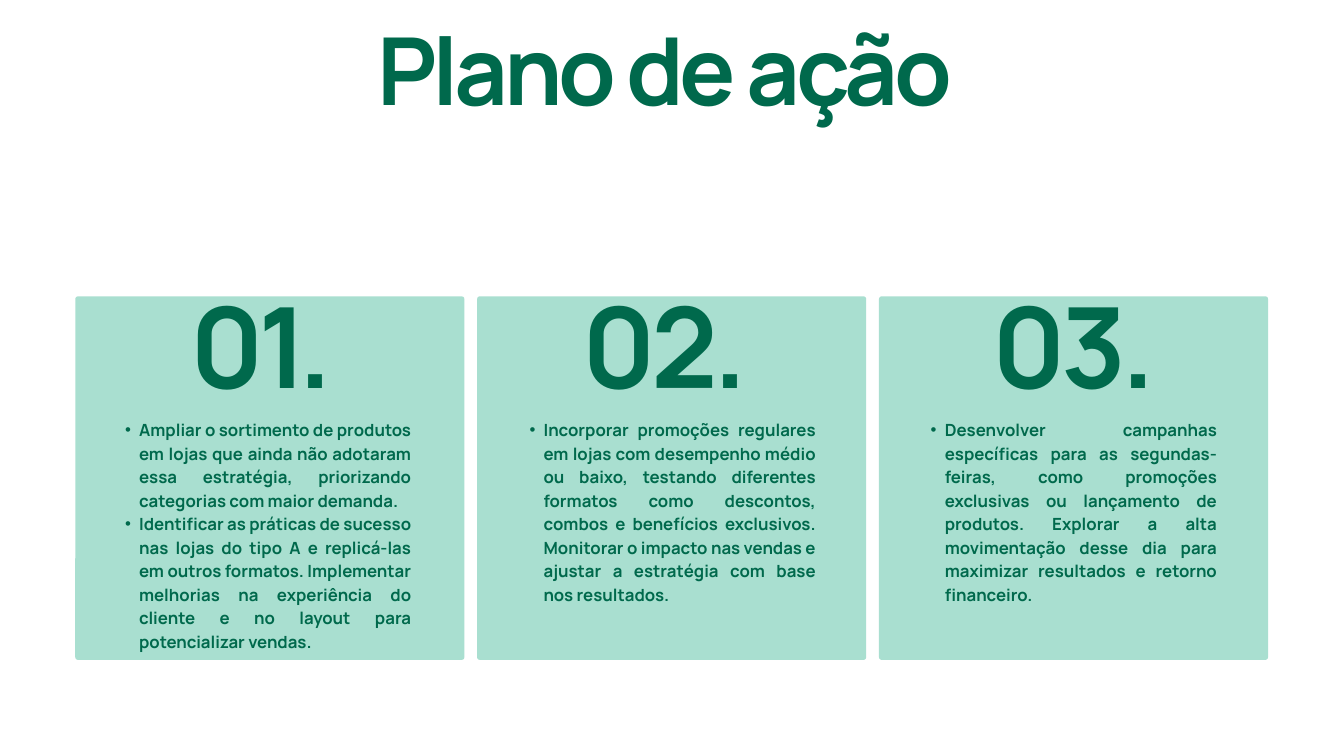
from dataclasses import dataclass

from lxml.etree import SubElement
from pptx import Presentation
from pptx.dml.color import RGBColor
from pptx.enum.shapes import MSO_SHAPE
from pptx.enum.text import PP_ALIGN
from pptx.oxml.ns import qn
from pptx.slide import Slide
from pptx.util import Inches, Pt

SLIDE_WIDTH, SLIDE_HEIGHT = 20, 11.25
FONT = "Manrope"
GREEN, MINT, WHITE = "00694C", "A9DFD0", "FFFFFF"

# Three equal columns, in inches
GRID_LEFT, CARD_TOP = 1.12, 4.41
CARD_WIDTH, CARD_HEIGHT, GAP = 5.79, 5.41, 0.19
CORNER_RADIUS = 0.04
NUMBER_TOP, LIST_TOP = 4.62, 6.2
NUMBER_WIDTH, LIST_WIDTH = 2.65, 4.48
BULLET_INDENT, BULLET_HANG = 0.43, 0.21


@dataclass(frozen=True)
class Card:
    number: str
    number_offset: float
    list_offset: float
    actions: tuple[str, ...]


CARDS = (
    Card("01.", 1.44, 0.52, (
        "Ampliar o sortimento de produtos em lojas que ainda não adotaram essa "
        "estratégia, priorizando categorias com maior demanda.",
        "Identificar as práticas de sucesso nas lojas do tipo A e replicá-las em "
        "outros formatos. Implementar melhorias na experiência do cliente e no "
        "layout para potencializar vendas.",
    )),
    Card("02.", 1.47, 0.56, (
        "Incorporar promoções regulares em lojas com desempenho médio ou baixo, "
        "testando diferentes formatos como descontos, combos e benefícios "
        "exclusivos. Monitorar o impacto nas vendas e ajustar a estratégia com "
        "base nos resultados.",
    )),
    Card("03.", 1.58, 0.55, (
        "Desenvolver campanhas específicas para as segundas-feiras, como promoções "
        "exclusivas ou lançamento de produtos. Explorar a alta movimentação desse "
        "dia para maximizar resultados e retorno financeiro.",
    )),
)


def color(value: str) -> RGBColor:
    return RGBColor.from_string(value)


def column_left(index: int) -> float:
    return GRID_LEFT + index * (CARD_WIDTH + GAP)


def add_bullet(paragraph) -> None:
    properties = paragraph._p.get_or_add_pPr()
    properties.set("marL", str(Inches(BULLET_INDENT)))
    properties.set("indent", str(-Inches(BULLET_HANG)))
    SubElement(properties, qn("a:buFont")).set("typeface", "Arial")
    SubElement(properties, qn("a:buChar")).set("char", "•")


def add_text(slide: Slide, paragraphs: tuple[str, ...], left: float, top: float,
             width: float, height: float, *, size: float, line: float,
             align: PP_ALIGN = PP_ALIGN.CENTER, tracking: float = 0,
             bullets: bool = False) -> None:
    box = slide.shapes.add_textbox(*map(Inches, (left, top, width, height)))
    frame = box.text_frame
    frame.word_wrap = True
    frame.margin_left = frame.margin_right = 0
    frame.margin_top = frame.margin_bottom = 0
    for index, text in enumerate(paragraphs):
        paragraph = frame.add_paragraph() if index else frame.paragraphs[0]
        if bullets:
            add_bullet(paragraph)
        paragraph.alignment = align
        paragraph.line_spacing = Pt(line)
        run = paragraph.add_run()
        run.text = text
        run.font.name = FONT
        run.font.size = Pt(size)
        run.font.bold = True
        run.font.color.rgb = color(GREEN)
        if tracking:
            run._r.get_or_add_rPr().set("spc", str(round(tracking * 100)))


def add_card(slide: Slide, card: Card, left: float) -> None:
    # Panel
    panel = slide.shapes.add_shape(
        MSO_SHAPE.ROUNDED_RECTANGLE,
        *map(Inches, (left, CARD_TOP, CARD_WIDTH, CARD_HEIGHT)))
    panel.adjustments[0] = CORNER_RADIUS / CARD_HEIGHT
    panel.shadow.inherit = False
    panel.fill.solid()
    panel.fill.fore_color.rgb = color(MINT)
    panel.line.fill.background()
    # Number and list of actions
    add_text(slide, (card.number,), left + card.number_offset, NUMBER_TOP,
             NUMBER_WIDTH, 1.64, size=120, line=108, tracking=-5.5)
    add_text(slide, card.actions, left + card.list_offset, LIST_TOP,
             LIST_WIDTH, 3.44 if len(card.actions) > 1 else 2.75,
             size=18, line=25.2, align=PP_ALIGN.JUSTIFY, bullets=True)


def main() -> None:
    presentation = Presentation()
    presentation.slide_width = Inches(SLIDE_WIDTH)
    presentation.slide_height = Inches(SLIDE_HEIGHT)
    slide = presentation.slides.add_slide(presentation.slide_layouts[6])
    slide.background.fill.solid()
    slide.background.fill.fore_color.rgb = color(WHITE)

    # Title
    add_text(slide, ("Plano de ação",), 2.32, 0.59, 15.15, 1.37,
             size=100.4, line=90.4, tracking=-4.6)

    # Cards
    for index, card in enumerate(CARDS):
        add_card(slide, card, column_left(index))

    presentation.save("out.pptx")


if __name__ == "__main__":
    main()
